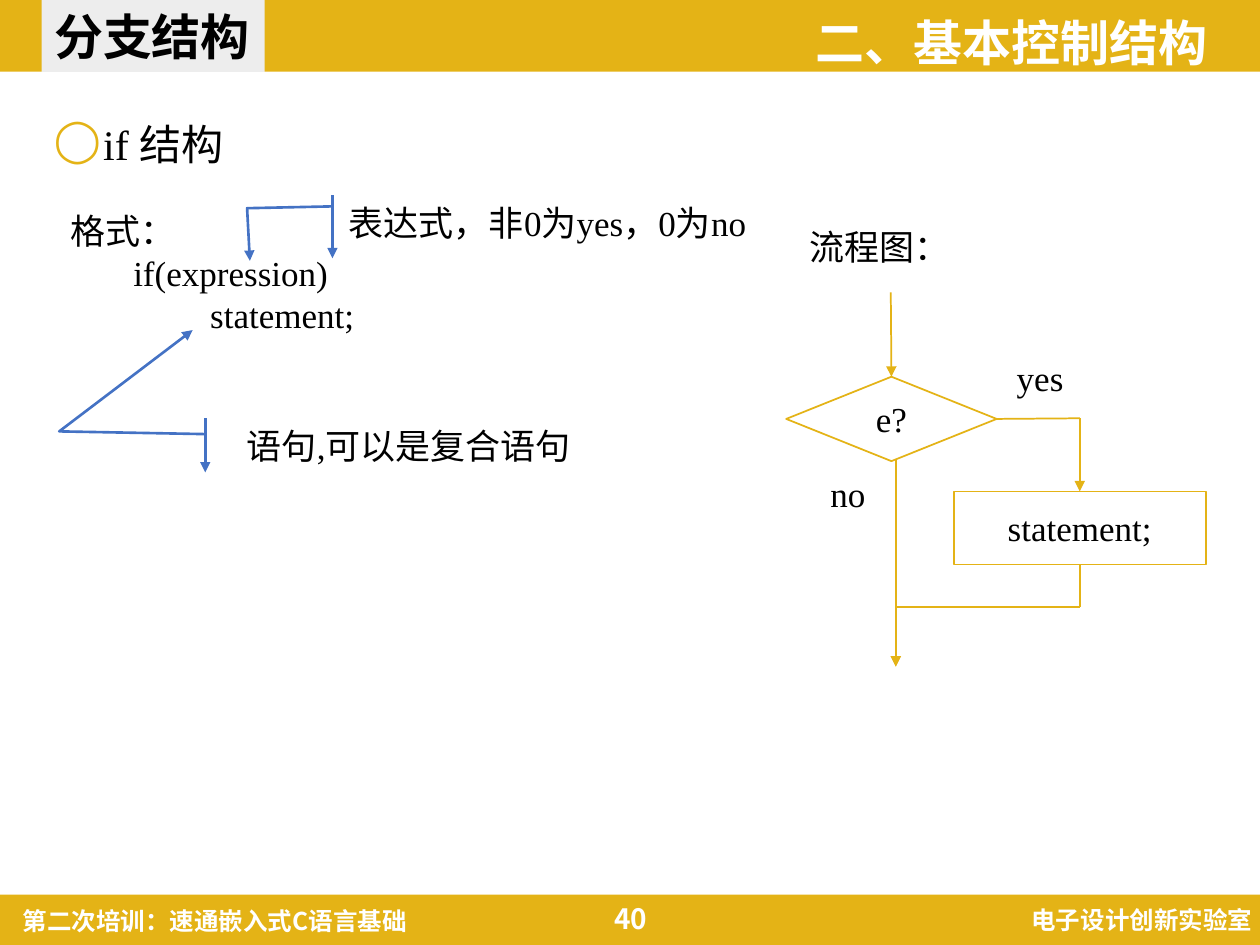
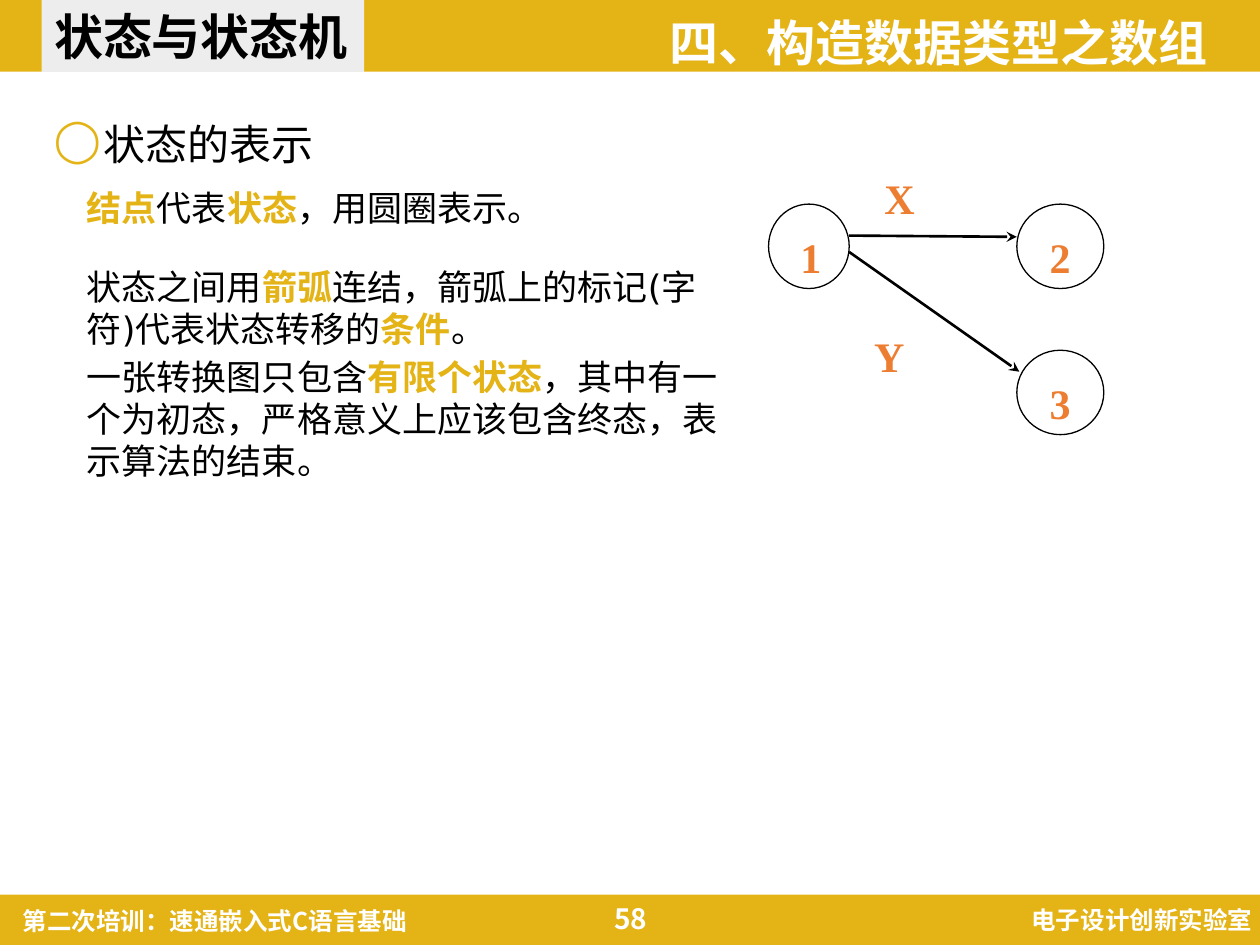
"""Build two training slides: the if statement and the state machine."""
from lxml import etree
from pptx import Presentation
from pptx.dml.color import RGBColor
from pptx.enum.shapes import MSO_CONNECTOR, MSO_SHAPE
from pptx.enum.text import MSO_ANCHOR, MSO_AUTO_SIZE, PP_ALIGN
from pptx.oxml.ns import qn
from pptx.util import Inches, Pt

RECT, OVAL = MSO_SHAPE.RECTANGLE, MSO_SHAPE.OVAL
DECISION, PROCESS = MSO_SHAPE.FLOWCHART_DECISION, MSO_SHAPE.FLOWCHART_PROCESS
CALLOUT = MSO_SHAPE.LINE_CALLOUT_2_ACCENT_BAR
STRAIGHT = MSO_CONNECTOR.STRAIGHT
LEFT, CENTER, RIGHT = PP_ALIGN.LEFT, PP_ALIGN.CENTER, PP_ALIGN.RIGHT
TOP, MIDDLE = MSO_ANCHOR.TOP, MSO_ANCHOR.MIDDLE
NO_FIT = MSO_AUTO_SIZE.NONE

GOLD, GREY, WHITE, BLACK = "E4B316", "EDEDED", "FFFFFF", "000000"
BLUE, ORANGE = "4472C4", "ED7D31"
SANS, SERIF, DEJAVU = "Noto Sans CJK SC", "Times New Roman", "DejaVu Sans"
PADDING = (0.1, 0.05, 0.1, 0.05)

prs = Presentation()
prs.slide_width, prs.slide_height = Inches(10), Inches(7.5)
COL, ROW = prs.slide_width / 10, prs.slide_height / 7.5


def stroke(sp, color, weight, tail=None):
    """Set the line of a shape or connector, with an optional arrowhead."""
    sp.line.color.rgb = RGBColor.from_string(color)
    sp.line.width = Pt(weight)
    if tail:
        etree.SubElement(sp.line._get_or_add_ln(), qn("a:tailEnd"), type=tail)


def put(sp, at, paras=(), size=20, font=SERIF, align=LEFT, anchor=TOP,
        wrap=True, pad=PADDING, leading=None, fill=None):
    """Place a shape and write paragraphs of (text, colour, bold) runs."""
    x, y, w, h = at
    sp.left, sp.top = int(x * COL), int(y * ROW)
    sp.width, sp.height = int(w * COL), int(h * ROW)
    sp.shadow.inherit = False
    sp.line.fill.background()
    if fill:
        sp.fill.solid()
        sp.fill.fore_color.rgb = RGBColor.from_string(fill)
    else:
        sp.fill.background()
    tf = sp.text_frame
    tf.auto_size, tf.word_wrap, tf.vertical_anchor = NO_FIT, wrap, anchor
    tf.margin_left, tf.margin_top, tf.margin_right, tf.margin_bottom = map(Inches, pad)
    for i, runs in enumerate(paras):
        p = tf.add_paragraph() if i else tf.paragraphs[0]
        p.alignment = align
        p.line_spacing = Pt(leading or size * 1.2)
        p.space_before = Pt(0)
        for text, color, bold in runs:
            r = p.add_run()
            r.text = text
            r.font.size, r.font.name, r.font.bold = Pt(size), font, bold
            r.font.color.rgb = RGBColor.from_string(color)
            etree.SubElement(r.font._element, qn("a:ea"), typeface=SANS)
    return sp


slides = []
for title, tab_width, chapter, heading, number in [
    ("分支结构", 1.77, "二、基本控制结构", "if 结构", "40"),
    ("状态与状态机", 2.56, "四、构造数据类型之数组", "状态的表示", "58"),
]:
    s = prs.slides.add_slide(prs.slide_layouts[5])
    slides.append(s)
    for at in [(0, 0, 10, 0.57), (0, 7.1, 10, 0.4)]:
        put(s.shapes.add_shape(RECT, 0, 0, 0, 0), at, fill=GOLD)
    for text, at, size, align, anchor in [
        ("电子设计创新实验室", (6.9, 7.13, 3.14, 0.34), 14, RIGHT, TOP),
        ("第二次培训：速通嵌入式C语言基础", (0.08, 7.14, 3.99, 0.34), 14, LEFT, TOP),
        (number, (4.39, 7.09, 1.23, 0.4), 16, CENTER, MIDDLE),
        (chapter, (4.39, 0.05, 5.29, 0.46), 28, RIGHT, TOP),
    ]:
        put(s.shapes.add_textbox(0, 0, 0, 0), at, [[(text, WHITE, True)]],
            size, SANS, align, anchor)
    sp = put(s.shapes.title, (0.33, 0, tab_width, 0.57), [[(title, BLACK, True)]],
             28, SANS, anchor=MIDDLE, wrap=False, fill=GREY)
    s.shapes._spTree.append(sp._element)
    sp = put(s.shapes.add_textbox(0, 0, 0, 0), (0.33, 0.85, 9.35, 0.57),
             [[(heading, BLACK, False)]], 24, leading=32)
    pPr = sp.text_frame.paragraphs[0]._p.get_or_add_pPr()
    pPr.set("marL", str(Inches(0.39)))
    pPr.set("indent", str(-Inches(0.39)))
    color = etree.SubElement(pPr, qn("a:buClr"))
    etree.SubElement(color, qn("a:srgbClr"), val=GOLD)
    etree.SubElement(pPr, qn("a:buChar"), char="◯")

branch, states = slides

code = ["格式：", "if(expression)", "                statement;"]
sp = put(branch.shapes.add_textbox(0, 0, 0, 0), (0.46, 1.61, 2.47, 1.11),
         [[(text, BLACK, False)] for text in code], wrap=False)
sp.text_frame.paragraphs[1]._p.get_or_add_pPr().set("marL", str(Inches(0.5)))

for text, at, flip, bends in [
    ("语句,可以是复合语句", (1.86, 3.32, 2.78, 0.43), False,
     (0.293, -0.083, 0.242, -0.5, -1.629, -0.119)),
    ("表达式，非0为yes，0为no", (2.67, 1.55, 4.4, 0.5), True,
     (0.177, 1.007, 0.206, 1.161, 1.041, 1.156)),
]:
    sp = put(branch.shapes.add_shape(CALLOUT, 0, 0, 0, 0), at, [[(text, BLACK, False)]])
    for i, bend in enumerate(bends):
        sp.adjustments[i] = bend
    if flip:
        sp._element.spPr.xfrm.set("flipH", "1")
    stroke(sp, BLUE, 1.5, "triangle")

for text, at in [
    ("流程图：", (6.32, 1.74, 1.32, 0.44)),
    ("yes", (7.97, 2.78, 0.57, 0.44)),
    ("no", (6.49, 3.7, 0.48, 0.44)),
]:
    put(branch.shapes.add_textbox(0, 0, 0, 0), at, [[(text, BLACK, False)]],
        align=CENTER, wrap=False)

flow = []
for kind, text, at in [
    (DECISION, "e?", (6.24, 2.99, 1.67, 0.67)),
    (PROCESS, "statement;", (7.57, 3.9, 2, 0.58)),
]:
    sp = put(branch.shapes.add_shape(kind, 0, 0, 0, 0), at, [[(text, BLACK, False)]],
             align=CENTER, anchor=MIDDLE, wrap=False)
    stroke(sp, GOLD, 1)
    flow.append(sp)
decision, process = flow

for text, at in [
    ("2", (8.07, 1.62, 0.69, 0.67)),
    ("1", (6.1, 1.62, 0.64, 0.67)),
    ("3", (8.07, 2.78, 0.69, 0.67)),
]:
    sp = put(states.shapes.add_shape(OVAL, 0, 0, 0, 0), at, [[(text, ORANGE, True)]],
             24, pad=(0.16, 0.12, 0.12, 0.12))
    stroke(sp, BLACK, 0.75)

for text, at in [("X", (6.92, 1.28, 0.83, 0.58)), ("Y", (6.84, 2.53, 0.83, 0.58))]:
    put(states.shapes.add_textbox(0, 0, 0, 0), at, [[(text, ORANGE, True)]],
        24, anchor=MIDDLE)

for font, at, parts in [
    (SANS, (0.59, 1.43, 6.25, 0.44), ["", "结点", "代表", "状态", "，用圆圈表示。"]),
    (DEJAVU, (0.59, 2.05, 5.2, 0.78),
     ["状态之间用", "箭弧", "连结，箭弧上的标记(字符)代表状态转移的", "条件", "。"]),
    (DEJAVU, (0.59, 2.77, 5.3, 1.11),
     ["一张转换图只包含", "有限个状态",
      "，其中有一个为初态，严格意义上应该包含终态，表示算法的结束。"]),
]:
    runs = [(text, GOLD if i % 2 else BLACK, bool(i % 2))
            for i, text in enumerate(parts) if text]
    put(states.shapes.add_textbox(0, 0, 0, 0), at, [runs], font=font, anchor=MIDDLE)

for s, color, weight, tail, start, end, begin_at, end_at in [
    (branch, GOLD, 1, "triangle", (7.07, 2.32), (7.07, 2.99), None, (decision, 0)),
    (branch, GOLD, 1, None, (7.91, 3.32), (8.57, 3.32), (decision, 3), None),
    (branch, GOLD, 1, "triangle", (8.57, 3.32), (8.57, 3.9), None, (process, 0)),
    (branch, GOLD, 1, None, (8.57, 4.48), (8.57, 4.82), (process, 2), None),
    (branch, GOLD, 1, None, (8.57, 4.82), (7.11, 4.82), None, None),
    (branch, GOLD, 1, "triangle", (7.11, 4.82), (7.11, 5.29), None, None),
    (branch, GOLD, 1, "triangle", (7.11, 3.64), (7.11, 5.29), None, None),
    (states, BLACK, 1.5, "stealth", (6.74, 1.87), (8.07, 1.88), None, None),
    (states, BLACK, 1.5, "stealth", (6.74, 2), (8.09, 2.95), None, None),
]:
    (x1, y1), (x2, y2) = start, end
    sp = s.shapes.add_connector(STRAIGHT, int(x1 * COL), int(y1 * ROW),
                                int(x2 * COL), int(y2 * ROW))
    if begin_at:
        sp.begin_connect(*begin_at)
    if end_at:
        sp.end_connect(*end_at)
    stroke(sp, color, weight, tail)
    etree.SubElement(sp._element.spPr, qn("a:effectLst"))

prs.save("out.pptx")
